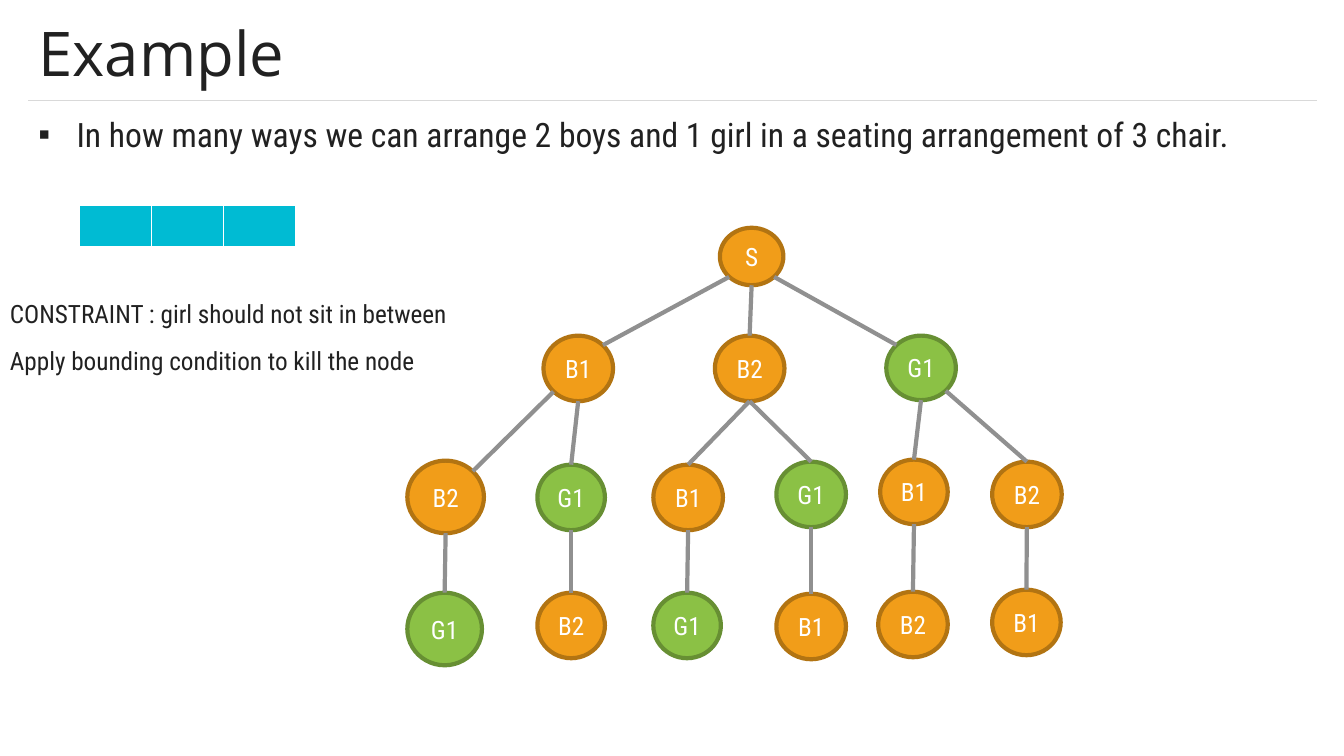
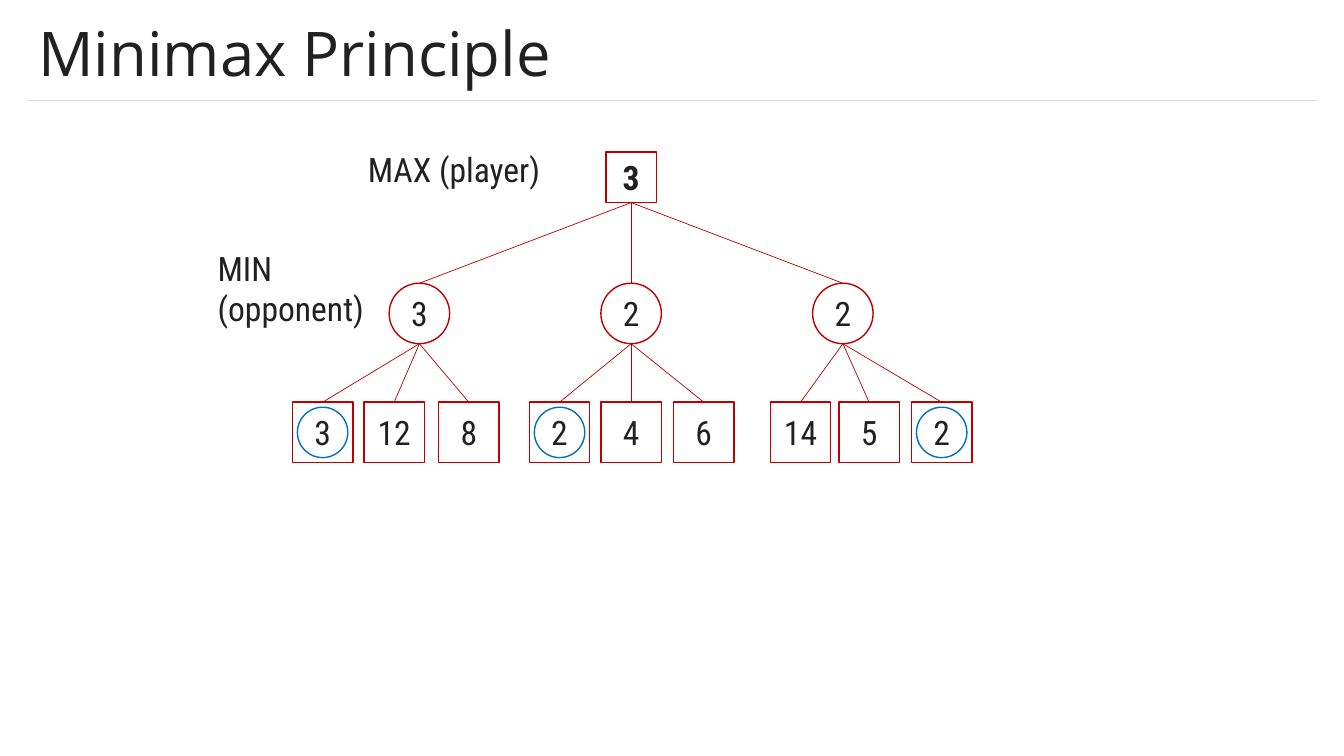
from pptx import Presentation
from pptx.dml.color import RGBColor
from pptx.enum.shapes import MSO_CONNECTOR, MSO_SHAPE
from pptx.enum.text import MSO_ANCHOR, MSO_AUTO_SIZE, PP_ALIGN
from pptx.oxml.xmlchemy import OxmlElement
from pptx.util import Inches, Pt

RECT, OVAL = MSO_SHAPE.RECTANGLE, MSO_SHAPE.OVAL
STRAIGHT = MSO_CONNECTOR.STRAIGHT
LEFT, CENTER, JUSTIFY = PP_ALIGN.LEFT, PP_ALIGN.CENTER, PP_ALIGN.JUSTIFY
MIDDLE, ANCHOR_TOP = MSO_ANCHOR.MIDDLE, MSO_ANCHOR.TOP
NO_FIT, GROW = MSO_AUTO_SIZE.NONE, MSO_AUTO_SIZE.SHAPE_TO_FIT_TEXT

INK = RGBColor(0x21, 0x21, 0x21)
WHITE = RGBColor(0xFF, 0xFF, 0xFF)
RULE = RGBColor(0xD9, 0xD9, 0xD9)
CYAN = RGBColor(0x00, 0xBB, 0xD3)
ORANGE = RGBColor(0xF1, 0x9D, 0x19)
DARK_ORANGE = RGBColor(0xB2, 0x74, 0x12)
GREEN = RGBColor(0x8B, 0xC1, 0x45)
DARK_GREEN = RGBColor(0x67, 0x8F, 0x33)
GRAY = RGBColor(0x90, 0x90, 0x90)
RED = RGBColor(0xC0, 0x00, 0x00)
BLUE = RGBColor(0x00, 0x70, 0xC0)

TITLE_FONT, BODY_FONT = "Open Sans", "Roboto Condensed"
TITLE_BOX = (0.28, 0.12, 12.78, 0.88)
BODY_BOX = (0.28, 1.08, 12.78, 0.51)
TITLE_AND_BODY, TITLE_ONLY = 1, 5

DIAG = 0.71
TOP, BOTTOM = (0, -1), (0, 1)
TOP_LEFT, TOP_RIGHT = (-DIAG, -DIAG), (DIAG, -DIAG)
BOTTOM_LEFT, BOTTOM_RIGHT = (-DIAG, DIAG), (DIAG, DIAG)
GLUE = {(RECT, TOP): 0, (RECT, BOTTOM): 2, (OVAL, TOP): 0}


def inches(box):
    return [Inches(v) for v in box]


def site(sp, side):
    dx, dy = side
    return (int(sp.left + sp.width * (1 + dx) / 2),
            int(sp.top + sp.height * (1 + dy) / 2))


class Deck:
    def __init__(self):
        self.prs = Presentation()
        self.prs.slide_width = Inches(13.33)
        self.prs.slide_height = Inches(7.5)
        self.s = None
        for ph, box in zip(self.prs.slide_master.placeholders, (TITLE_BOX, BODY_BOX)):
            ph.left, ph.top, ph.width, ph.height = inches(box)

    def set_text(self, tf, text, size, color=INK, font=BODY_FONT, align=LEFT, bold=False):
        p = tf.paragraphs[0]
        p.text = text
        p.alignment = align
        for r in p.runs:
            r.font.size = Pt(size)
            r.font.name = font
            r.font.bold = bold
            r.font.color.rgb = color
        return p

    def slide(self, title, layout):
        first = self.s is None
        self.s = self.prs.slides.add_slide(self.prs.slide_layouts[layout])
        if first:
            rule = self.line(inches((0.28, 1)), inches((13.06, 1)), RULE, 0.5)
            self.prs.slide_master.shapes.element.append(rule.element)
        tf = self.s.shapes.title.text_frame
        tf.auto_size = NO_FIT
        tf.vertical_anchor = MIDDLE
        p = self.set_text(tf, title, 44, font=TITLE_FONT)
        p.line_spacing = 0.9

    def bullet(self, text):
        tf = self.s.placeholders[1].text_frame
        tf.auto_size = NO_FIT
        tf.vertical_anchor = ANCHOR_TOP
        p = self.set_text(tf, text, 24, align=JUSTIFY)
        p.space_before = Pt(0)
        p.space_after = Pt(6)
        pPr = p._p.get_or_add_pPr()
        pPr.set("marL", str(Inches(0.38)))
        pPr.set("indent", str(Inches(-0.38)))
        mark = OxmlElement("a:buChar")
        mark.set("char", "▪")
        pPr.append(mark)

    def label(self, text, box, size, wrap=True):
        tf = self.s.shapes.add_textbox(*inches(box)).text_frame
        tf.word_wrap = wrap
        tf.auto_size = GROW
        self.set_text(tf, text, size)

    def node(self, kind, box, line, width, fill=None, text="", size=24, color=INK, bold=False):
        sp = self.s.shapes.add_shape(kind, *inches(box))
        sp.shadow.inherit = False
        if fill is None:
            sp.fill.background()
        else:
            sp.fill.solid()
            sp.fill.fore_color.rgb = fill
        sp.line.color.rgb = line
        sp.line.width = Pt(width)
        if text:
            sp.text_frame.vertical_anchor = MIDDLE
            self.set_text(sp.text_frame, text, size, color, align=CENTER, bold=bold)
        return sp

    def line(self, start, end, color, width):
        cxn = self.s.shapes.add_connector(STRAIGHT, *start, *end)
        cxn.line.color.rgb = color
        cxn.line.width = Pt(width)
        cxn.element.spPr.append(OxmlElement("a:effectLst"))
        return cxn

    def edge(self, parent, child, color, width, out=BOTTOM, into=TOP):
        cxn = self.line(site(parent, out), site(child, into), color, width)
        begin = GLUE.get((parent.auto_shape_type, out))
        end = GLUE.get((child.auto_shape_type, into))
        if begin is not None:
            cxn.begin_connect(parent, begin)
        if end is not None:
            cxn.end_connect(child, end)

    def cells(self, box, count, fill):
        table = self.s.shapes.add_table(1, count, *inches(box)).table
        for cell in table.iter_cells():
            cell.fill.solid()
            cell.fill.fore_color.rgb = fill


SEATING = {
    "S": (7.14, 2.26, 0.63, 0.57),
    "S B1": (5.39, 3.33, 0.69, 0.65),
    "S B2": (7.09, 3.33, 0.69, 0.65),
    "S G1": (8.79, 3.33, 0.69, 0.64),
    "S B1 B2": (4.04, 4.57, 0.76, 0.72),
    "S B1 G1": (5.33, 4.61, 0.67, 0.65),
    "S B2 B1": (6.48, 4.61, 0.69, 0.65),
    "S B2 G1": (7.7, 4.58, 0.69, 0.65),
    "S G1 B1": (8.73, 4.56, 0.67, 0.64),
    "S G1 B2": (9.84, 4.58, 0.69, 0.65),
    "S B1 B2 G1": (4.04, 5.88, 0.74, 0.72),
    "S B1 G1 B2": (5.33, 5.88, 0.67, 0.65),
    "S B2 B1 G1": (6.48, 5.88, 0.67, 0.65),
    "S B2 G1 B1": (7.7, 5.89, 0.69, 0.65),
    "S G1 B1 B2": (8.71, 5.87, 0.69, 0.65),
    "S G1 B2 B1": (9.84, 5.85, 0.68, 0.65),
}
SLANTED = {
    "S B1": (BOTTOM_LEFT, TOP_RIGHT),
    "S G1": (BOTTOM_RIGHT, TOP_LEFT),
    "S B1 B2": (BOTTOM_LEFT, TOP_RIGHT),
    "S G1 B2": (BOTTOM_RIGHT, TOP),
}
GAME = [
    (3.86, [(2.9, 3), (3.61, 12), (4.35, 8)]),
    (5.96, [(5.25, 2), (5.96, 4), (6.68, 6)]),
    (8.06, [(7.64, 14), (8.32, 5), (9.04, 2)]),
]


def seating_slide(deck):
    deck.slide("Example", TITLE_AND_BODY)
    deck.bullet("In how many ways we can arrange 2 boys and 1 girl "
                "in a seating arrangement of 3 chair.")
    deck.cells((0.79, 2.04, 2.14, 0.41), 3, CYAN)
    nodes = {}
    for branch, box in SEATING.items():
        name = branch.split()[-1]
        fill, line = (GREEN, DARK_GREEN) if name == "G1" else (ORANGE, DARK_ORANGE)
        nodes[branch] = deck.node(OVAL, box, line, 3, fill, name, 18, WHITE)
    for branch, child in nodes.items():
        parent = branch.rpartition(" ")[0]
        if parent:
            out, into = SLANTED.get(branch, (BOTTOM, TOP))
            deck.edge(nodes[parent], child, GRAY, 3, out, into)
    deck.label("CONSTRAINT : girl should not sit in between",
               (0, 2.91, 4.59, 0.4), 18, wrap=False)
    deck.label("Apply bounding condition to kill the node",
               (0, 3.38, 4.26, 0.4), 18, wrap=False)


def minimax_slide(deck):
    deck.slide("Minimax Principle", TITLE_ONLY)
    minima = [min(value for _, value in leaves) for _, leaves in GAME]
    root = deck.node(RECT, (6.01, 1.51, 0.5, 0.5), RED, 1, text=str(max(minima)), bold=True)
    for (left, leaves), low in zip(GAME, minima):
        opponent = deck.node(OVAL, (left, 2.81, 0.6, 0.6), RED, 1, text=str(low))
        deck.edge(root, opponent, RED, 0.5)
        for x, value in leaves:
            leaf = deck.node(RECT, (x, 3.99, 0.6, 0.6), RED, 1, text=str(value))
            deck.edge(opponent, leaf, RED, 0.5)
            if value == low:
                deck.node(OVAL, (x + 0.05, 4.04, 0.5, 0.5), BLUE, 1)
    deck.label("MAX (player)", (3.55, 1.43, 2.13, 0.5), 24)
    deck.label("MIN\n(opponent)", (2.06, 2.41, 1.82, 0.91), 24)


def main():
    deck = Deck()
    seating_slide(deck)
    minimax_slide(deck)
    deck.prs.save("out.pptx")


if __name__ == "__main__":
    main()
